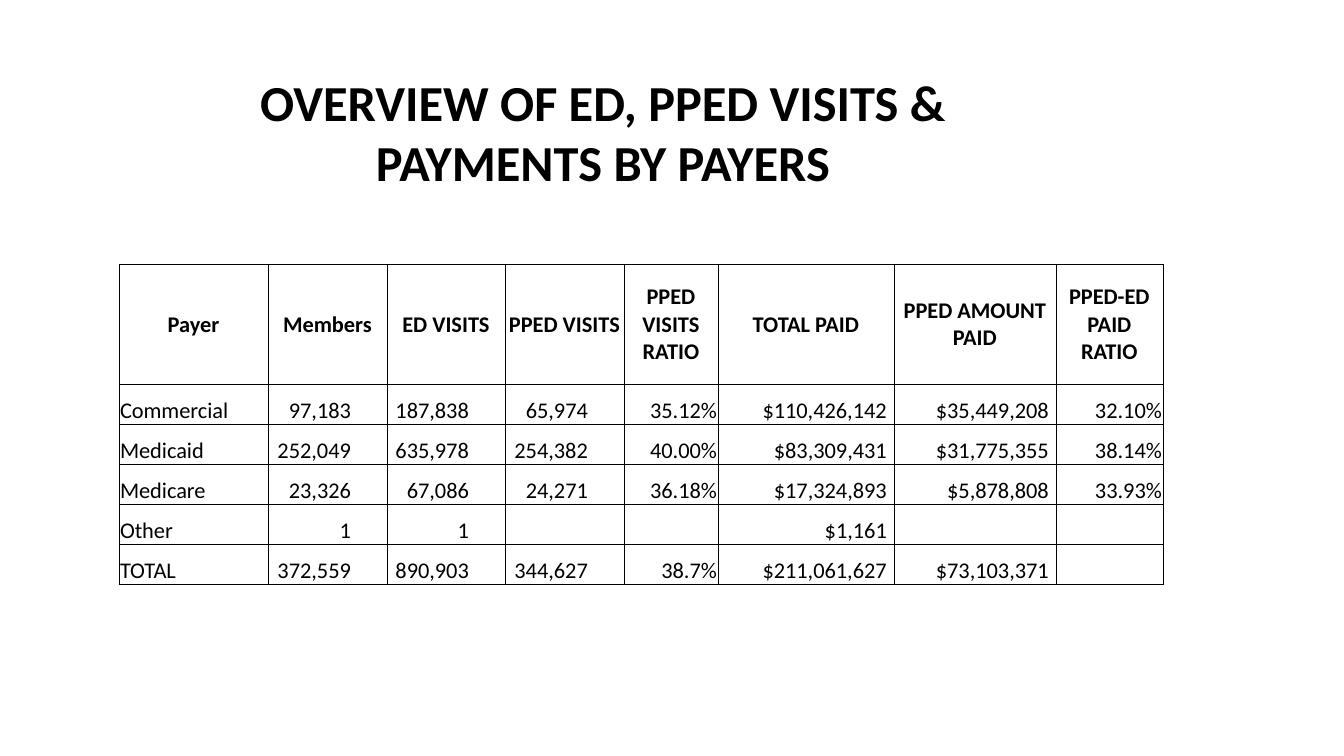
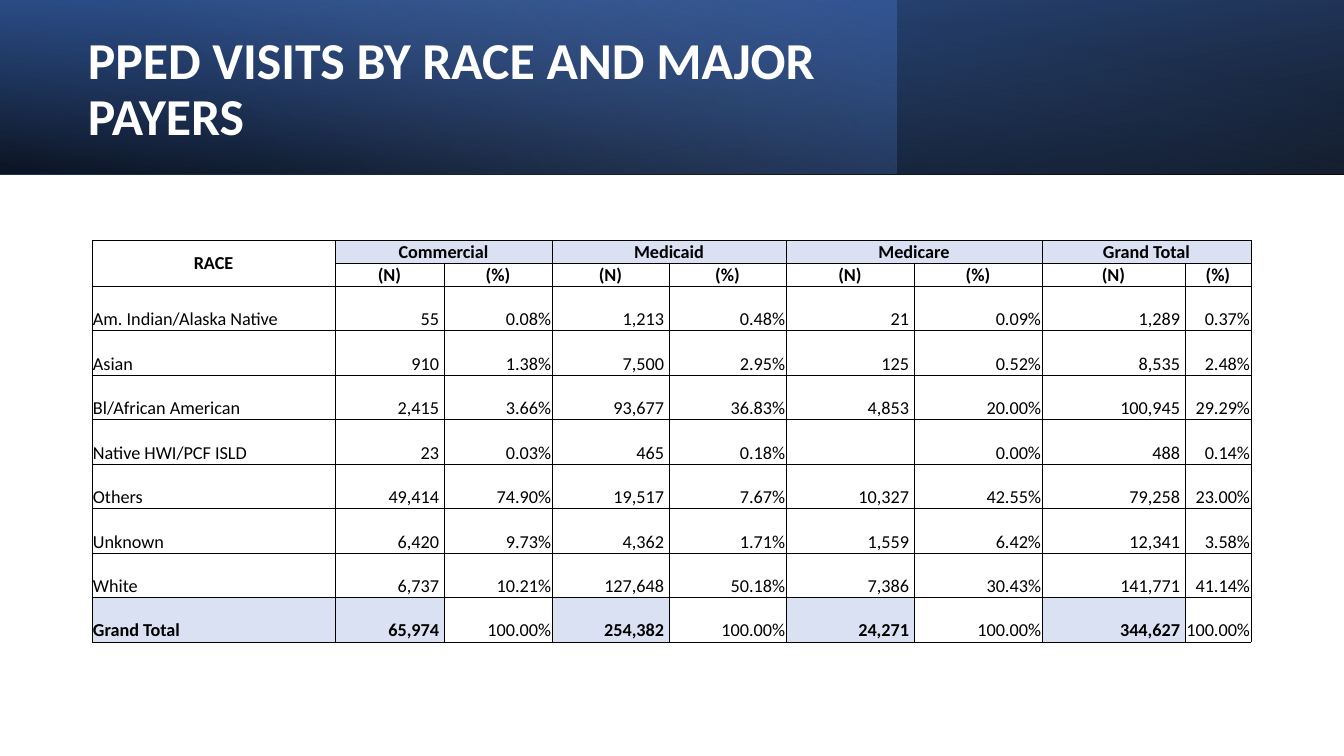
"""Build two slides with tables of emergency department visits by payer and race."""
from lxml.etree import SubElement
from pptx import Presentation
from pptx.dml.color import RGBColor
from pptx.enum.shapes import MSO_SHAPE
from pptx.enum.text import MSO_ANCHOR, PP_ALIGN
from pptx.oxml import parse_xml
from pptx.oxml.ns import nsdecls, qn
from pptx.util import Pt

PX = 12192000 / 1344
FONT = "Calibri"
COLORS = {
    "black": "000000",
    "white": "FFFFFF",
    "navy": "2F5597",
    "blue": "4472C4",
    "light_blue": "8FAADC",
    "highlight": "D9E1F2",
}
LEFT, CENTER, RIGHT = PP_ALIGN.LEFT, PP_ALIGN.CENTER, PP_ALIGN.RIGHT

PAYER_TITLE = "OVERVIEW OF ED, PPED VISITS & PAYMENTS BY PAYERS"
PAYER_ROWS = [
    ("Payer", "Members", "ED VISITS", "PPED VISITS", "PPED VISITS RATIO", "TOTAL PAID",
     "PPED AMOUNT PAID", "PPED-ED PAID RATIO"),
    ("Commercial", "97,183", "187,838", "65,974", "35.12%", "$110,426,142", "$35,449,208", "32.10%"),
    ("Medicaid", "252,049", "635,978", "254,382", "40.00%", "$83,309,431", "$31,775,355", "38.14%"),
    ("Medicare", "23,326", "67,086", "24,271", "36.18%", "$17,324,893", "$5,878,808", "33.93%"),
    ("Other", "1", "1", "", "", "$1,161", "", ""),
    ("TOTAL", "372,559", "890,903", "344,627", "38.7%", "$211,061,627", "$73,103,371", ""),
]
PAYER_LAYOUT = {
    "left": 119, "top": 264, "size": 16,
    "widths": (149, 119, 118, 119, 94, 176, 162, 107),
    "right_margins": (1, 36, 36, 36, 1, 7, 7, 1),
    "header_heights": (120,), "body_height": 201,
    "merges": (), "highlights": (),
}

RACE_TITLE = "PPED VISITS BY RACE AND MAJOR PAYERS"
RACE_ROWS = [
    ("RACE", "Commercial", "", "Medicaid", "", "Medicare", "", "Grand Total", ""),
    ("",) + ("(N)", "(%)") * 4,
    ("Am. Indian/Alaska Native", "55", "0.08%", "1,213", "0.48%", "21", "0.09%", "1,289", "0.37%"),
    ("Asian", "910", "1.38%", "7,500", "2.95%", "125", "0.52%", "8,535", "2.48%"),
    ("Bl/African American", "2,415", "3.66%", "93,677", "36.83%", "4,853", "20.00%", "100,945", "29.29%"),
    ("Native HWI/PCF ISLD", "23", "0.03%", "465", "0.18%", "", "0.00%", "488", "0.14%"),
    ("Others", "49,414", "74.90%", "19,517", "7.67%", "10,327", "42.55%", "79,258", "23.00%"),
    ("Unknown", "6,420", "9.73%", "4,362", "1.71%", "1,559", "6.42%", "12,341", "3.58%"),
    ("White", "6,737", "10.21%", "127,648", "50.18%", "7,386", "30.43%", "141,771", "41.14%"),
    ("Grand Total", "65,974", "100.00%", "254,382", "100.00%", "24,271", "100.00%", "344,627", "100.00%"),
]
TOTAL_ROW = len(RACE_ROWS) - 1
COUNT_COLUMNS = (1, 3, 5, 7)
RACE_LAYOUT = {
    "left": 92, "top": 240, "size": 13,
    "widths": (243, 109, 108, 117, 117, 128, 128, 143, 66),
    "right_margins": (1,) + (5, 1) * 4,
    "header_heights": (23, 23), "body_height": 356,
    "merges": [(0, 0, 1, 0)] + [(0, column, 0, column + 1) for column in COUNT_COLUMNS],
    "highlights": [(0, column) for column in range(1, 9)]
    + [(TOTAL_ROW, column) for column in (0,) + COUNT_COLUMNS],
}

BAND_HEIGHT = 174
BANDS = [
    {"width": 1344, "rotation": 180, "flip": True, "angle": 100,
     "stops": ((0, "black", 96), (100, "navy", 100))},
    {"width": 897, "rotation": 0, "flip": False, "angle": 140,
     "stops": ((0, "blue", 41), (74, "light_blue", 0))},
    {"width": 1344, "rotation": 0, "flip": True, "angle": 260,
     "stops": ((0, "black", 63), (78, "blue", 15))},
]


def px(value):
    """Turn pixels into EMU."""
    return round(value * PX)


def style_paragraph(paragraph, size, color, bold, alignment):
    """Set the font and alignment of a paragraph."""
    paragraph.alignment = alignment
    font = paragraph.font
    font.name, font.size, font.bold = FONT, Pt(size), bold
    font.color.rgb = RGBColor.from_string(COLORS[color])


def add_title(slide, text, box, size, color, alignment, anchor):
    """Add a bold slide title and return its paragraph."""
    frame = slide.shapes.add_textbox(*map(px, box)).text_frame
    frame.word_wrap = True
    frame.vertical_anchor = anchor
    paragraph = frame.paragraphs[0]
    paragraph.text = text
    style_paragraph(paragraph, size, color, True, alignment)
    return paragraph


def add_band(slide, band):
    """Add a header rectangle with a translucent gradient."""
    shape = slide.shapes.add_shape(MSO_SHAPE.RECTANGLE, 0, 0, px(band["width"]), px(BAND_HEIGHT))
    shape.rotation = band["rotation"]
    shape.line.fill.background()
    shape.shadow.inherit = False
    stops = "".join(
        f'<a:gs pos="{position * 1000}"><a:srgbClr val="{COLORS[color]}">'
        f'<a:alpha val="{opacity * 1000}"/></a:srgbClr></a:gs>'
        for position, color, opacity in band["stops"]
    )
    gradient = parse_xml(
        f'<a:gradFill {nsdecls("a")} rotWithShape="1"><a:gsLst>{stops}</a:gsLst>'
        f'<a:lin ang="{band["angle"] * 60000}" scaled="0"/></a:gradFill>'
    )
    properties = shape._element.spPr
    properties.find(qn("a:prstGeom")).addnext(gradient)
    if band["flip"]:
        properties.find(qn("a:xfrm")).set("flipH", "1")


def add_borders(cell):
    """Draw a thin black line on each side of a cell."""
    properties = cell._tc.get_or_add_tcPr()
    for side in ("a:lnL", "a:lnR", "a:lnT", "a:lnB"):
        line = SubElement(properties, qn(side), w=str(Pt(0.5)))
        fill = SubElement(line, qn("a:solidFill"))
        SubElement(fill, qn("a:srgbClr"), val=COLORS["black"])


def fill_cell(cell, text, row, column, layout):
    """Write and style one table cell."""
    is_header = row < len(layout["header_heights"])
    highlighted = (row, column) in layout["highlights"]
    right_margin = 1 if is_header else layout["right_margins"][column]
    cell.margin_left = cell.margin_top = px(1)
    cell.margin_right, cell.margin_bottom = px(right_margin), 0
    cell.vertical_anchor = MSO_ANCHOR.MIDDLE if is_header else MSO_ANCHOR.BOTTOM
    add_borders(cell)
    if highlighted:
        cell.fill.solid()
        cell.fill.fore_color.rgb = RGBColor.from_string(COLORS["highlight"])
    else:
        cell.fill.background()
    alignment = CENTER if is_header else RIGHT if column else LEFT
    paragraph = cell.text_frame.paragraphs[0]
    paragraph.text = text
    style_paragraph(paragraph, layout["size"], "black", is_header or highlighted, alignment)


def add_data_table(slide, rows, layout):
    """Add a bordered table with header rows and equal body rows."""
    headers = layout["header_heights"]
    body_count = len(rows) - len(headers)
    heights = headers + (layout["body_height"] / body_count,) * body_count
    widths = layout["widths"]
    table = slide.shapes.add_table(
        len(rows), len(widths), px(layout["left"]), px(layout["top"]), px(sum(widths)), px(sum(heights))
    ).table
    table.first_row = table.horz_banding = False
    for column, width in zip(table.columns, widths):
        column.width = px(width)
    for row, height in zip(table.rows, heights):
        row.height = px(height)
    for row, texts in enumerate(rows):
        for column, text in enumerate(texts):
            fill_cell(table.cell(row, column), text, row, column, layout)
    for top, left, bottom, right in layout["merges"]:
        table.cell(top, left).merge(table.cell(bottom, right))


def main():
    """Build and save the presentation."""
    presentation = Presentation()
    presentation.slide_width, presentation.slide_height = px(1344), px(756)
    blank = presentation.slide_layouts[6]

    payer_slide = presentation.slides.add_slide(blank)
    add_data_table(payer_slide, PAYER_ROWS, PAYER_LAYOUT)
    add_title(payer_slide, PAYER_TITLE, (138, 66, 930, 132), 36, "black", CENTER, MSO_ANCHOR.TOP)

    race_slide = presentation.slides.add_slide(blank)
    for band in BANDS:
        add_band(race_slide, band)
    title = add_title(race_slide, RACE_TITLE, (78, 27, 778, 128), 37, "white", LEFT, MSO_ANCHOR.MIDDLE)
    title.line_spacing = 0.9
    title.space_after = Pt(6)
    add_data_table(race_slide, RACE_ROWS, RACE_LAYOUT)
    presentation.save("out.pptx")


if __name__ == "__main__":
    main()
